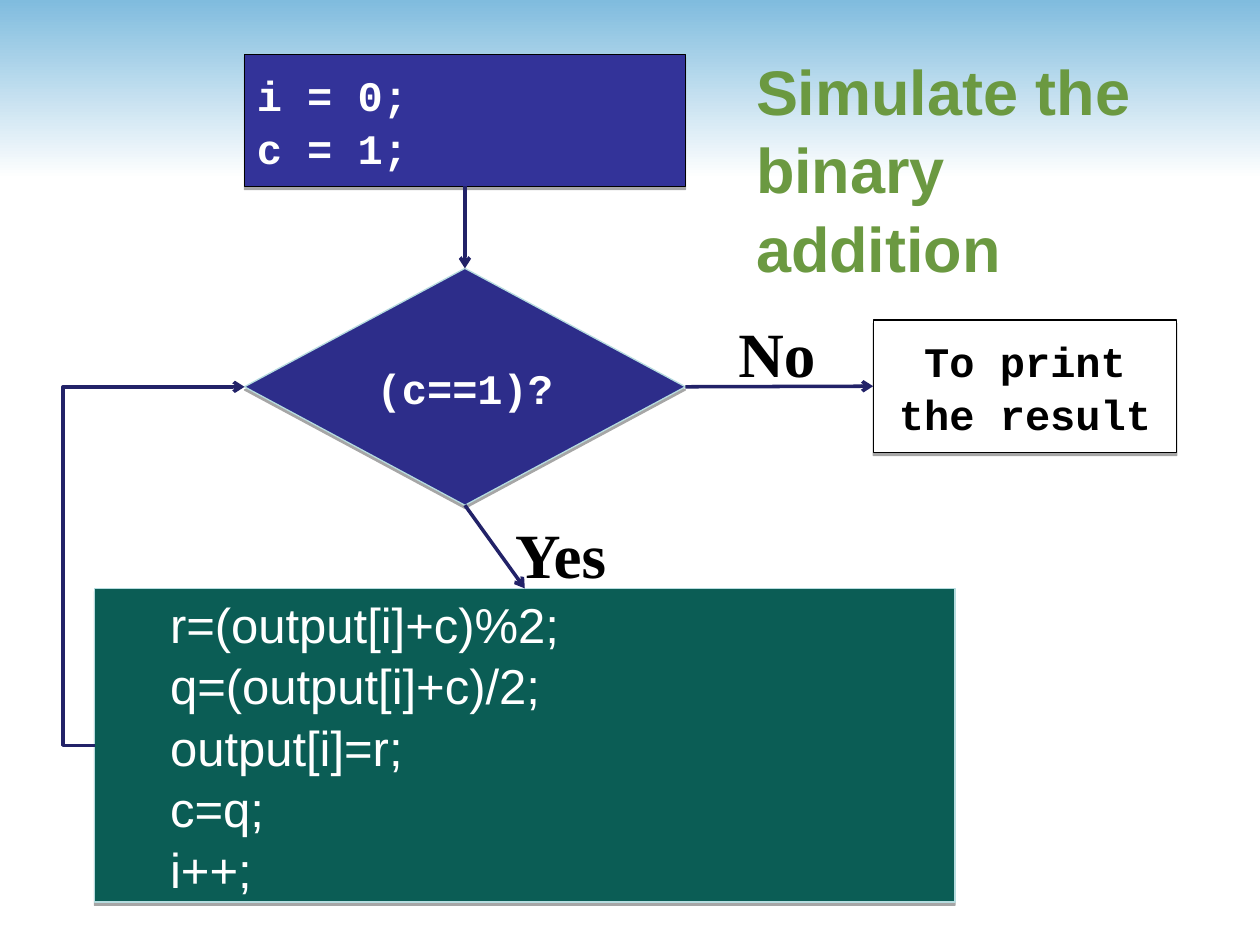
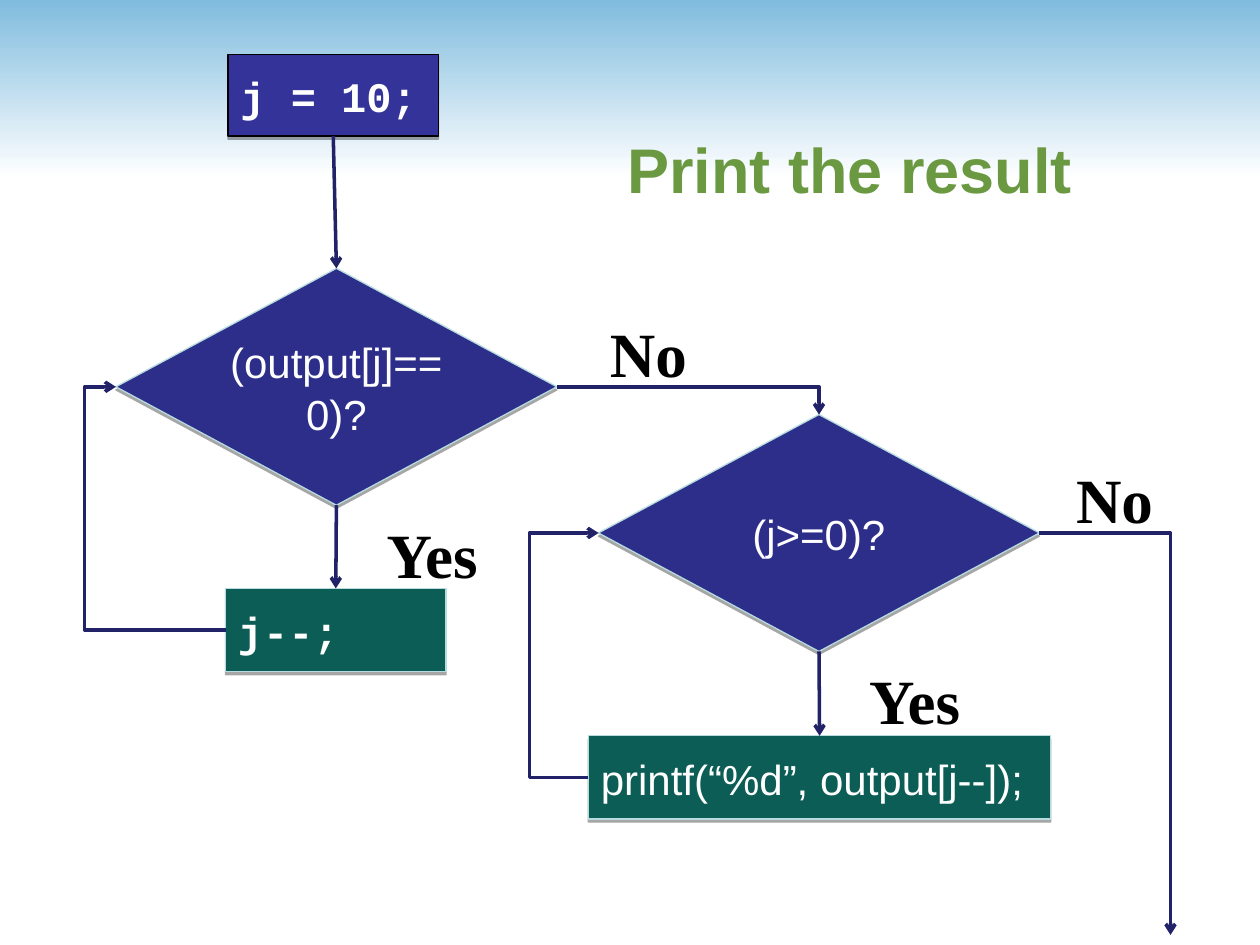
from dataclasses import dataclass

from lxml.etree import SubElement
from pptx import Presentation
from pptx.dml.color import RGBColor
from pptx.enum.shapes import MSO_CONNECTOR, MSO_SHAPE
from pptx.enum.text import MSO_ANCHOR, MSO_AUTO_SIZE, PP_ALIGN
from pptx.oxml.ns import qn
from pptx.util import Inches, Pt


@dataclass(frozen=True)
class Theme:
    sky: str = "80BCDE"
    white: str = "FFFFFF"
    black: str = "000000"
    green: str = "6B9941"
    blue: str = "333399"
    navy: str = "2D2D8A"
    teal: str = "0B5D55"
    pale: str = "B6DCDF"
    arrow: str = "222268"
    sans: str = "Arial"
    mono: str = "Courier New"
    serif: str = "Times New Roman"
    big: int = 36
    mid: int = 28
    small: int = 24


T = Theme()
TOP, LEFT, BOTTOM, RIGHT = range(4)


def write(shape, text, font=T.sans, size=T.small, color=T.white, bold=False,
          center=False, anchor=MSO_ANCHOR.MIDDLE, inset=0.1, wrap=True):
    frame = shape.text_frame
    frame.text = text
    frame.word_wrap = wrap
    frame.auto_size = MSO_AUTO_SIZE.NONE if wrap else MSO_AUTO_SIZE.SHAPE_TO_FIT_TEXT
    frame.vertical_anchor = anchor
    frame.margin_left = Inches(inset)
    frame.margin_right = Inches(min(inset, 0.1))
    frame.margin_top = frame.margin_bottom = Inches(0.05)
    for para in frame.paragraphs:
        para.alignment = PP_ALIGN.CENTER if center else PP_ALIGN.LEFT
        para.line_spacing = 1.04
        for run in para.runs:
            run.font.name, run.font.size, run.font.bold = font, Pt(size), bold
            run.font.color.rgb = RGBColor.from_string(color)


def link(slide, start, out, end, into=None, turn=None, corner=False):
    """Join two nodes; end may be a free point, turn is the x of a loop."""
    bent = corner or turn is not None
    kind = MSO_CONNECTOR.ELBOW if bent else MSO_CONNECTOR.STRAIGHT
    x, y = (0, 0) if into is not None else map(Inches, end)
    line = slide.shapes.add_connector(kind, 0, 0, x, y)
    line.begin_connect(start, out)
    if into is not None:
        line.end_connect(end, into)
    line.line.color.rgb = RGBColor.from_string(T.arrow)
    line.line.width = Pt(2)
    SubElement(line.get_or_add_ln(), qn("a:tailEnd"), type="arrow")
    props = line.element.spPr
    SubElement(props, qn("a:effectLst"))
    geom = props.find(qn("a:prstGeom"))
    if corner:
        geom.set("prst", "bentConnector2")
    if turn is not None:
        # A loop runs upward: a half turn with a mirrored x
        ratio = (Inches(turn) - line.begin_x) / (line.end_x - line.begin_x)
        mirror = line.end_x > line.begin_x
        guides = geom.find(qn("a:avLst"))
        SubElement(guides, qn("a:gd"), name="adj1", fmla=f"val {round(ratio * 100000)}")
        frame = props.find(qn("a:xfrm"))
        frame.set("rot", "10800000")
        frame.set("flipV", "0")
        frame.set("flipH", "1" if mirror else "0")


# Node looks: outline shape, fill, line
LOOKS = {
    "start": (MSO_SHAPE.RECTANGLE, T.blue, T.black),
    "test": (MSO_SHAPE.DIAMOND, T.navy, T.pale),
    "step": (MSO_SHAPE.RECTANGLE, T.teal, T.pale),
    "end": (MSO_SHAPE.RECTANGLE, T.white, T.black),
}
CODE = dict(font=T.mono, bold=True)
ASK = dict(center=True, inset=0)

# Each page: title, nodes, labels, links
PAGES = [
    dict(
        title=("Simulate the binary addition", 5.9, 3.6),
        nodes={
            "init": ("start", "i = 0;\nc = 1;", (1.94, 0.43, 3.5, 1.05), CODE),
            "carry": ("test", "(c==1)?", (1.94, 2.13, 3.5, 1.88), {**CODE, **ASK}),
            "add": ("step", "r=(output[i]+c)%2;\nq=(output[i]+c)/2;\noutput[i]=r;\nc=q;\ni++;",
                    (0.75, 4.67, 6.83, 2.49), dict(size=T.mid, inset=0.6)),
            "print": ("end", "To print the result", (6.93, 2.54, 2.41, 1.05),
                      dict(CODE, color=T.black, center=True)),
        },
        labels=[("Yes", 3.99, 4.02), ("No", 5.76, 2.42)],
        links=[
            ("init", BOTTOM, "carry", TOP, {}),
            ("carry", BOTTOM, "add", TOP, {}),
            ("add", LEFT, "carry", LEFT, dict(turn=0.5)),
            ("carry", RIGHT, "print", LEFT, {}),
        ],
    ),
    dict(
        title=("Print the result", 4.88, 3.93),
        nodes={
            "init": ("start", "j = 10;", (1.81, 0.43, 1.67, 0.65), CODE),
            "zero": ("test", "(output[j]==0)?", (0.92, 2.13, 3.5, 1.88), ASK),
            "skip": ("step", "j--;", (1.79, 4.67, 1.75, 0.66), CODE),
            "left": ("test", "(j>=0)?", (4.75, 3.29, 3.5, 1.88), ASK),
            "print": ("step", "printf(“%d”, output[j--]);", (4.67, 5.84, 3.67, 0.66), {}),
        },
        labels=[("Yes", 2.97, 4.02), ("No", 4.74, 2.42),
                ("Yes", 6.8, 5.18), ("No", 8.44, 3.58)],
        links=[
            ("init", BOTTOM, "zero", TOP, {}),
            ("zero", BOTTOM, "skip", TOP, {}),
            ("skip", LEFT, "zero", LEFT, dict(turn=0.67)),
            ("zero", RIGHT, "left", TOP, dict(corner=True)),
            ("left", BOTTOM, "print", TOP, {}),
            ("print", LEFT, "left", LEFT, dict(turn=4.2)),
            ("left", RIGHT, (9.29, 7.42), None, dict(corner=True)),
        ],
    ),
]

deck = Presentation()
deck.slide_width, deck.slide_height = Inches(10), Inches(7.5)
slides = [deck.slides.add_slide(deck.slide_layouts[5]) for page in PAGES]

# Sky band, moved to the master so that all slides share it
band = slides[0].shapes.add_shape(MSO_SHAPE.RECTANGLE, 0, 0, Inches(10), Inches(1.42))
band.shadow.inherit = False
band.line.fill.background()
band.fill.gradient()
band.fill.gradient_angle = 270
for stop, color, place in zip(band.fill.gradient_stops, (T.sky, T.white), (0, 1)):
    stop.color.rgb = RGBColor.from_string(color)
    stop.position = place
deck.slide_master.shapes.element.insert(2, band.element)

for slide, page in zip(slides, PAGES):
    # Title
    text, left, width = page["title"]
    title = slide.shapes.title
    title.left, title.top = Inches(left), Inches(0.3)
    title.width, title.height = Inches(width), Inches(2.05)
    write(title, text, size=T.big, color=T.green, bold=True)

    # Nodes
    nodes = {}
    for name, (look, text, place, style) in page["nodes"].items():
        form, fill, edge = LOOKS[look]
        node = slide.shapes.add_shape(form, *map(Inches, place))
        node.fill.solid()
        node.fill.fore_color.rgb = RGBColor.from_string(fill)
        node.line.color.rgb = RGBColor.from_string(edge)
        node.line.width = Pt(0.75)
        node.shadow.inherit = False
        effects = node.element.spPr.find(qn("a:effectLst"))
        shade = SubElement(effects, qn("a:outerShdw"), blurRad="0", dist=str(Pt(1.8)),
                           dir="5400000", rotWithShape="0")
        tint = SubElement(shade, qn("a:srgbClr"), val=T.black)
        SubElement(tint, qn("a:alpha"), val="35000")
        write(node, text, **style)
        nodes[name] = node

    # Arrows
    for start, out, end, into, route in page["links"]:
        link(slide, nodes[start], out, nodes.get(end, end), into, **route)

    # Branch labels
    for text, left, top in page["labels"]:
        width = 0.98 if text == "Yes" else 0.81
        label = slide.shapes.add_textbox(*map(Inches, (left, top, width, 0.7)))
        write(label, text, font=T.serif, size=T.big, color=T.black, bold=True,
              center=text == "No", anchor=MSO_ANCHOR.TOP, wrap=False)

deck.save("out.pptx")
